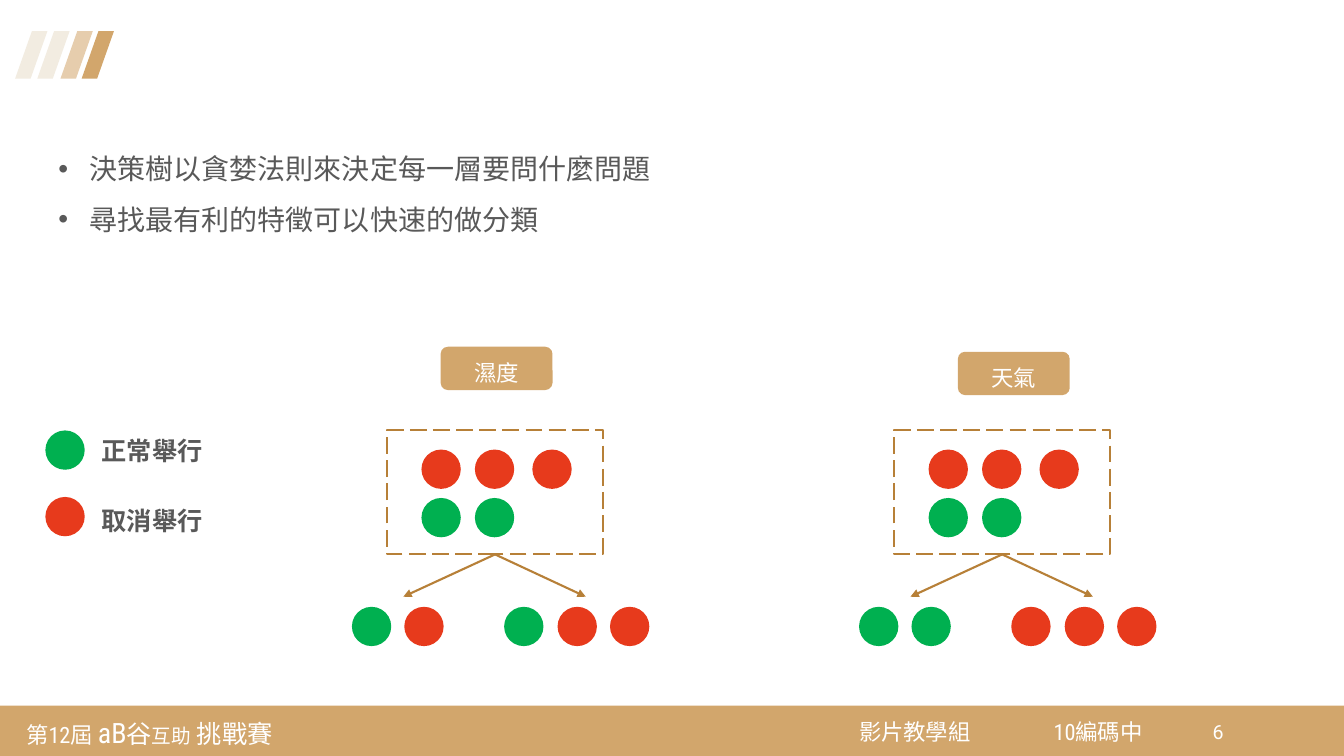
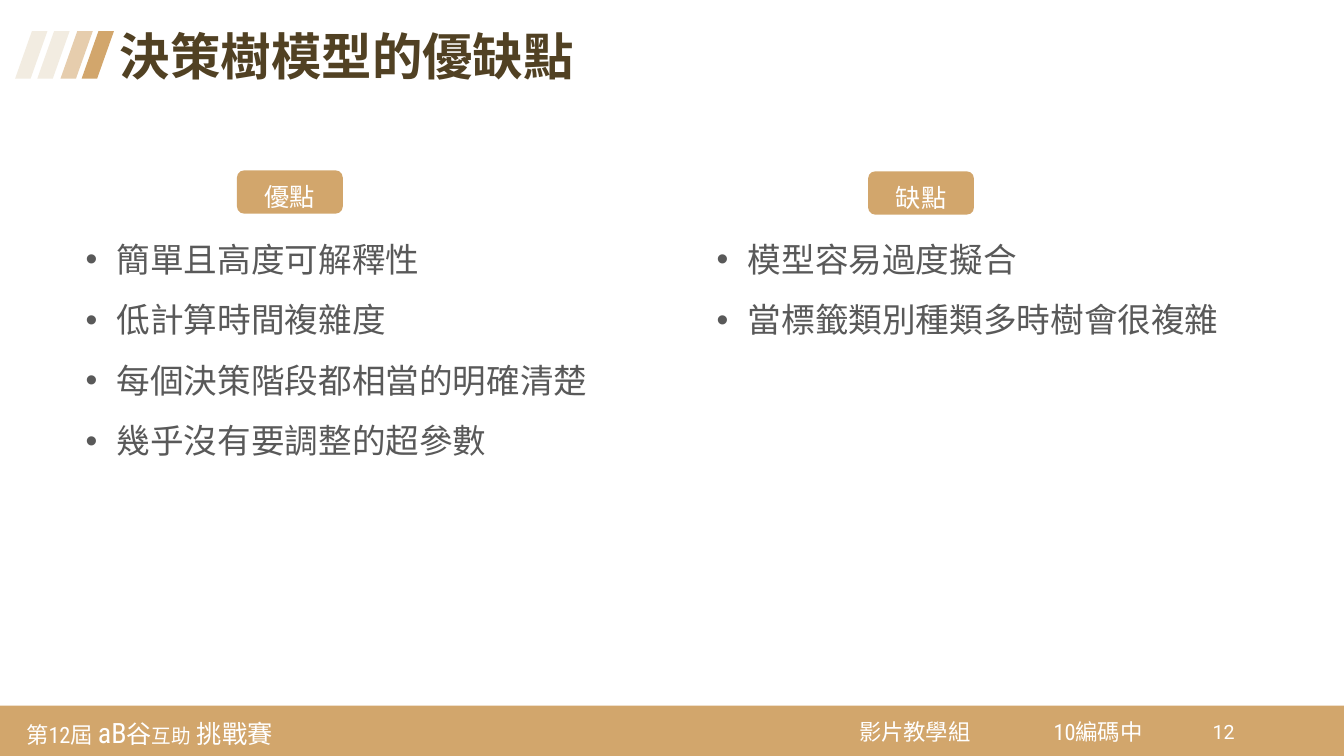
from dataclasses import dataclass

import pptx
import pptx.dml.color
import pptx.enum.dml
import pptx.enum.shapes
import pptx.enum.text
import pptx.oxml.ns
import pptx.util
from lxml import etree

Inches = pptx.util.Inches
SHAPES = pptx.enum.shapes.MSO_SHAPE
ALIGN = pptx.enum.text.PP_ALIGN
ANCHOR = pptx.enum.text.MSO_ANCHOR
qn = pptx.oxml.ns.qn


@dataclass(frozen=True)
class Theme:
    gold: str = "D2A66C"
    gold_mid: str = "E6CDAD"
    gold_pale: str = "F2ECE1"
    gold_dark: str = "B78038"
    title: str = "514123"
    body: str = "595959"
    white: str = "FFFFFF"
    held: str = "00B050"
    cancelled: str = "E73A1C"
    font: str = "Arial"
    footer_font: str = "Roboto Condensed"
    number_font: str = "Roboto"
    asian_font: str = "Noto Sans CJK SC"
    title_size: int = 36
    list_size: int = 24
    intro_size: int = 20
    label_size: int = 18
    footer_size: int = 16
    number_size: int = 14


THEME = Theme()
DOT = 0.39
BAND_TOP = 7


def rgb(value):
    return pptx.dml.color.RGBColor.from_string(value)


def add_bullet(para):
    properties = para._p.get_or_add_pPr()
    properties.set("marL", str(Inches(0.31)))
    properties.set("indent", str(Inches(-0.31)))
    etree.SubElement(properties, qn("a:buFont")).set("typeface", THEME.font)
    etree.SubElement(properties, qn("a:buChar")).set("char", "•")


def write_text(frame, lines, size=THEME.label_size, color=THEME.body,
               font=THEME.font, bold=False, align=ALIGN.LEFT, spacing=1.0,
               bullet=False, anchor=ANCHOR.TOP, wrap=True, grow=False,
               inset=None):
    """Fill a text frame; each line is a string or a list of (text, size)."""
    frame.word_wrap = wrap
    frame.vertical_anchor = anchor
    sizing = pptx.enum.text.MSO_AUTO_SIZE
    frame.auto_size = sizing.SHAPE_TO_FIT_TEXT if grow else sizing.NONE
    if inset is not None:
        frame.margin_left = frame.margin_right = Inches(inset)
        frame.margin_top = frame.margin_bottom = Inches(inset)
    for index, line in enumerate(lines):
        para = frame.add_paragraph() if index else frame.paragraphs[0]
        if bullet:
            add_bullet(para)
        para.alignment = align
        para.line_spacing = spacing
        para.space_before = pptx.util.Pt(0)
        for text, points in [(line, size)] if isinstance(line, str) else line:
            span = para.add_run()
            span.text = text
            span.font.size = pptx.util.Pt(points)
            span.font.bold = bold
            span.font.name = font
            span.font.color.rgb = rgb(color)
            asian = etree.SubElement(span._r.get_or_add_rPr(), qn("a:ea"))
            asian.set("typeface", THEME.asian_font)


def add_text(page, at, lines, **style):
    box = page.shapes.add_textbox(*map(Inches, at))
    write_text(box.text_frame, lines, **style)


def add_shape(page, kind, at, fill=None):
    shape = page.shapes.add_shape(kind, *map(Inches, at))
    shape.shadow.inherit = False
    shape.line.fill.background()
    if fill:
        shape.fill.solid()
        shape.fill.fore_color.rgb = rgb(fill)
    else:
        shape.fill.background()
    return shape


def add_badge(page, at, text, size):
    badge = add_shape(page, SHAPES.ROUNDED_RECTANGLE, at, THEME.gold)
    write_text(badge.text_frame, [text], size=size, color=THEME.white,
               font=THEME.asian_font, align=ALIGN.CENTER, spacing=1.3,
               anchor=ANCHOR.MIDDLE)


def add_dot(page, left, top, color):
    add_shape(page, SHAPES.OVAL, (left, top, DOT, DOT), color)


def add_arrow(page, start, end):
    arrow = page.shapes.add_connector(
        pptx.enum.shapes.MSO_CONNECTOR.STRAIGHT, *map(Inches, start + end))
    arrow.line.color.rgb = rgb(THEME.gold_dark)
    arrow.line.width = pptx.util.Pt(1.5)
    properties = arrow._element.spPr
    tail = etree.SubElement(properties.find(qn("a:ln")), qn("a:tailEnd"))
    tail.set("type", "triangle")
    etree.SubElement(properties, qn("a:effectLst"))


def add_split(page, left, top, leaf_colors):
    """Draw the five samples in a dashed box and the two groups below it."""
    box = add_shape(page, SHAPES.RECTANGLE, (left + 0.35, top, 2.14, 1.23))
    box.line.color.rgb = rgb(THEME.gold_dark)
    box.line.width = pptx.util.Pt(1.5)
    box.line.dash_style = pptx.enum.dml.MSO_LINE.LONG_DASH
    columns = (0.69, 1.22, 1.79)
    for across in columns:
        add_dot(page, left + across, top + 0.19, THEME.cancelled)
    for across in columns[:2]:
        add_dot(page, left + across, top + 0.67, THEME.held)
    for across in (0.51, 2.32):
        add_arrow(page, (left + 1.42, top + 1.23), (left + across, top + 1.65))
    for across, color in zip((0, 0.52, 1.51, 2.04, 2.56), leaf_colors):
        add_dot(page, left + across, top + 1.75, color)


def add_frame(page, number):
    """Draw the footer band and the slanted bars that every page carries."""
    add_shape(page, SHAPES.RECTANGLE, (0, BAND_TOP, 13.33, 0.5), THEME.gold)
    contest = [("第12屆 ", 16), ("aB", 20), ("谷", 18), ("互助", 14),
               (" 挑戰賽", 18)]
    for left, top, width, height, line in (
            (0.18, 7.02, 2.83, 0.49, contest),
            (8.44, 7.04, 1.33, 0.43, "影片教學組"),
            (10.37, 7.04, 1.33, 0.43, "10編碼中")):
        add_text(page, (left, top, width, height), [line],
                 size=THEME.footer_size, color=THEME.white,
                 font=THEME.footer_font, anchor=ANCHOR.MIDDLE, inset=0.08,
                 grow=True)
    add_text(page, (11.93, 7.09, 0.5, 0.41), [str(number)],
             size=THEME.number_size, color=THEME.white, font=THEME.number_font)
    bars = ((0.81, THEME.gold), (0.6, THEME.gold_mid),
            (0.37, THEME.gold_pale), (0.15, THEME.gold_pale))
    for left, color in bars:
        bar = add_shape(page, SHAPES.PARALLELOGRAM, (left, 0.31, 0.32, 0.47),
                        color)
        bar.adjustments[0] = 0.52


def set_title(page, text):
    title = page.shapes.title
    title.left, title.top, title.width, title.height = map(
        Inches, (1.09, 0.27, 10.19, 0.65))
    write_text(title.text_frame, [text], size=THEME.title_size,
               color=THEME.title, bold=True, spacing=0.9, grow=True)


def build_question_page(deck):
    page = deck.slides.add_slide(deck.slide_layouts[6])
    add_frame(page, 6)
    green, red = THEME.held, THEME.cancelled
    add_split(page, 3.49, 4.27, (green, red, green, red, red))
    add_split(page, 8.52, 4.27, (green, green, red, red, red))
    add_badge(page, (4.37, 3.44, 1.11, 0.43), "濕度", THEME.footer_size)
    add_badge(page, (9.5, 3.49, 1.11, 0.43), "天氣", THEME.footer_size)
    for dot_top, text_top, color, text in ((4.27, 4.27, green, "正常舉行"),
                                           (4.93, 4.96, red, "取消舉行")):
        add_dot(page, 0.45, dot_top, color)
        add_text(page, (0.91, text_top, 1.21, 0.4), [text], bold=True,
                 wrap=False, grow=True)
    add_text(page, (0.48, 1.29, 6.13, 1.05),
             ["決策樹以貪婪法則來決定每一層要問什麼問題",
              "尋找最有利的特徵可以快速的做分類"],
             size=THEME.intro_size, spacing=1.5, bullet=True, wrap=False,
             grow=True)


def build_comparison_page(deck):
    page = deck.slides.add_slide(deck.slide_layouts[5])
    add_frame(page, 12)
    set_title(page, "決策樹模型的優缺點")
    columns = (
        (0.75, 2.45, 2.35, 1.69, "優點",
         ["簡單且高度可解釋性", "低計算時間複雜度",
          "每個決策階段都相當的明確清楚", "幾乎沒有要調整的超參數"]),
        (7.01, 1.24, 8.61, 1.7, "缺點",
         ["模型容易過度擬合", "當標籤類別種類多時樹會很複雜"]),
    )
    for left, height, badge_left, badge_top, heading, points in columns:
        add_text(page, (left, 2.12, 5.31, height), points,
                 size=THEME.list_size, spacing=1.5, bullet=True, grow=True)
        add_badge(page, (badge_left, badge_top, 1.05, 0.43), heading,
                  THEME.label_size)


def main():
    deck = pptx.Presentation()
    deck.slide_width, deck.slide_height = Inches(13.33), Inches(7.5)
    build_question_page(deck)
    build_comparison_page(deck)
    deck.save("out.pptx")


if __name__ == "__main__":
    main()
